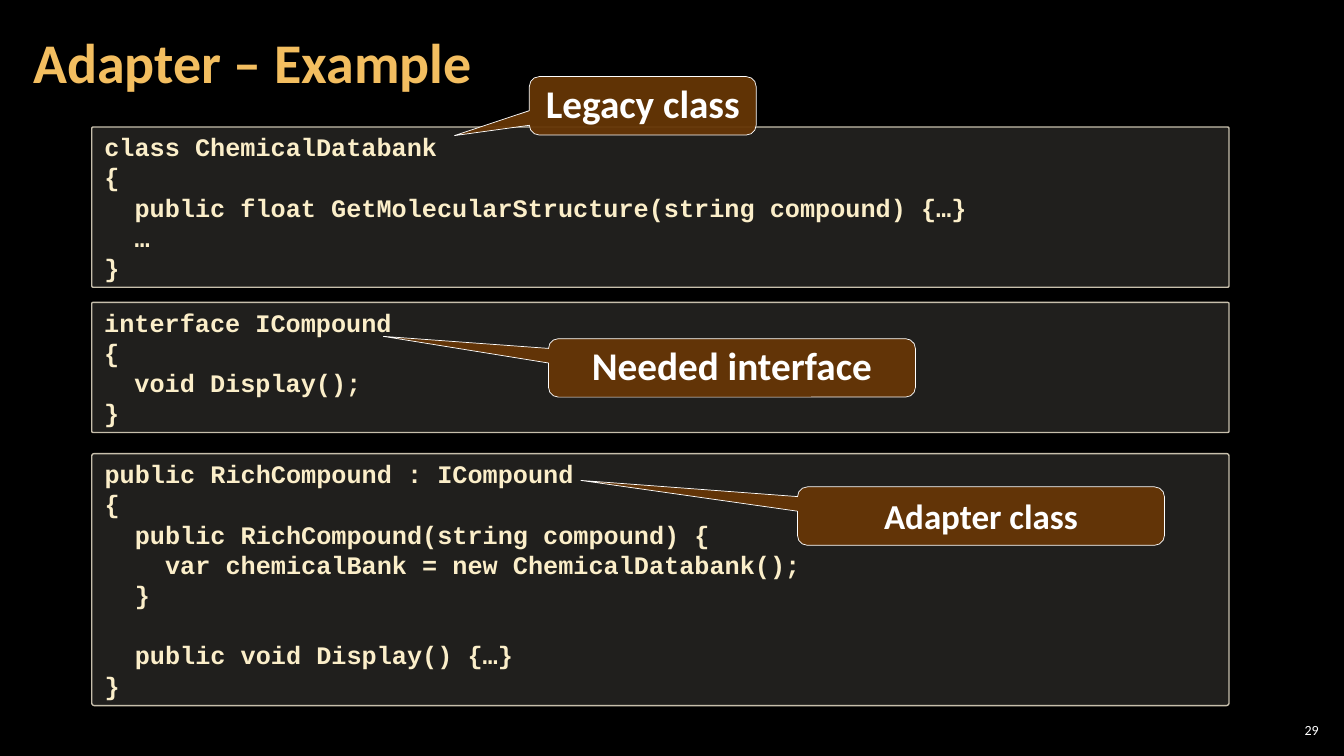
from dataclasses import dataclass
from pptx import Presentation
from pptx.dml.color import RGBColor
from pptx.enum.shapes import MSO_SHAPE as Shape
from pptx.enum.text import MSO_ANCHOR as Anchor, PP_ALIGN as Align
from pptx.oxml.ns import qn
from pptx.util import Inches, Pt
from lxml.etree import SubElement

TITLE = "Adapter – Example"
PAGE_NUMBER = "29"

CODE_PANELS = [
    (1.26, 1.59, [
        (0, "class ChemicalDatabank"),
        (0, "{"),
        (1, "public float GetMolecularStructure(string compound) {…}"),
        (1, "…"),
        (0, "}"),
    ]),
    (3.0, 1.29, [
        (0, "interface ICompound"),
        (0, "{"),
        (1, "void Display();"),
        (0, "}"),
    ]),
    (4.5, 2.5, [
        (0, "public RichCompound : ICompound"),
        (0, "{"),
        (1, "public RichCompound(string compound) {"),
        (2, "var chemicalBank = new ChemicalDatabank();"),
        (1, "}"),
        (0, ""),
        (1, "public void Display() {…}"),
        (0, "}"),
    ]),
]

CALLOUTS = [
    ("Legacy class", 28, (5.25, 0.76, 2.25), (-0.83, 0.51)),
    ("Needed interface", 28, (5.44, 3.36, 3.64), (-0.95, -0.54)),
    ("Adapter class", 25, (7.91, 4.83, 3.64), (-1.09, -0.61)),
]


@dataclass(frozen=True)
class Theme:
    background: str = "000000"
    title: str = "F3BE60"
    code: str = "FBEEC9"
    panel: str = "D9D5C7"
    panel_line: str = "C7BFAC"
    callout: str = "663606"
    white: str = "FFFFFF"
    text_font: str = "Calibri"
    code_font: str = "Courier New"
    title_size: int = 40
    code_size: int = 18
    number_size: int = 10
    code_leading: float = 21.6
    callout_leading: int = 30


THEME = Theme()
PANEL_LEFT, PANEL_WIDTH = 0.91, 11.28
CALLOUT_HEIGHT = 0.58
INDENT = 2 * 0.6 * THEME.code_size
WIDE_INSETS = (0.12, 0.04, 0.12, 0.04)


def set_all(target, values):
    for name, value in values.items():
        setattr(target, name, value)


def prepare_frame(shape, insets, anchor):
    left, top, right, bottom = map(Inches, insets)
    set_all(shape.text_frame, {
        "word_wrap": True, "vertical_anchor": anchor,
        "margin_left": left, "margin_top": top,
        "margin_right": right, "margin_bottom": bottom,
    })
    return shape.text_frame


def write(para, text, size, color, font=THEME.text_font, bold=True, **layout):
    set_all(para, layout)
    span = para.add_run()
    span.text = text
    set_all(span.font, {"name": font, "size": Pt(size), "bold": bold})
    span.font.color.rgb = RGBColor.from_string(color)


def add_label(page, area, insets, *text, **layout):
    box = page.shapes.add_textbox(*map(Inches, area))
    frame = prepare_frame(box, insets, Anchor.MIDDLE)
    write(frame.paragraphs[0], *text, **layout)


def add_box(page, preset, area, adjustments, fill, opacity, line, weight):
    box = page.shapes.add_shape(preset, *map(Inches, area))
    box.shadow.inherit = False
    for index, value in enumerate(adjustments):
        box.adjustments[index] = value
    box.fill.solid()
    box.fill.fore_color.rgb = RGBColor.from_string(fill)
    color = box.fill._xPr.find(qn("a:solidFill"))[0]
    SubElement(color, qn("a:alpha")).set("val", str(opacity * 1000))
    box.line.color.rgb = RGBColor.from_string(line)
    box.line.width = Pt(weight)
    return box


def add_code(page, top, height, lines):
    panel = add_box(page, Shape.ROUNDED_RECTANGLE, (PANEL_LEFT, top, PANEL_WIDTH, height),
                    (0.01,), THEME.panel, 15, THEME.panel_line, 1)
    frame = prepare_frame(panel, WIDE_INSETS, Anchor.TOP)
    leading = Pt(THEME.code_leading)
    gap = 0
    para = frame.paragraphs[0]
    for depth, text in lines:
        if not text:
            gap += leading
            continue
        if para.runs:
            para = frame.add_paragraph()
        write(para, text, THEME.code_size, THEME.code, THEME.code_font,
              alignment=Align.LEFT, line_spacing=leading, space_before=gap)
        para._p.get_or_add_pPr().set("marL", str(Pt(depth * INDENT)))
        gap = 0


def add_callout(page, text, size, area, tip):
    callout = add_box(page, Shape.ROUNDED_RECTANGULAR_CALLOUT, (*area, CALLOUT_HEIGHT),
                      (*tip, 0.17), THEME.callout, 95, THEME.white, 0.5)
    frame = prepare_frame(callout, (0, 0.05, 0, 0.05), Anchor.TOP)
    write(frame.paragraphs[0], text, size, THEME.white,
          alignment=Align.CENTER, line_spacing=Pt(THEME.callout_leading))


def main():
    deck = Presentation()
    set_all(deck, {"slide_width": Inches(13.33), "slide_height": Inches(7.5)})
    page = deck.slides.add_slide(deck.slide_layouts[6])
    page.background.fill.solid()
    page.background.fill.fore_color.rgb = RGBColor.from_string(THEME.background)

    add_label(page, (12.65, 7.14, 0.47, 0.21), (0.04,) * 4, PAGE_NUMBER,
              THEME.number_size, THEME.white, bold=False, alignment=Align.RIGHT)
    add_label(page, (0.21, 0.04, 10.47, 1.21), WIDE_INSETS, TITLE,
              THEME.title_size, THEME.title, line_spacing=0.9)
    for panel in CODE_PANELS:
        add_code(page, *panel)
    for callout in CALLOUTS:
        add_callout(page, *callout)
    deck.save("out.pptx")


if __name__ == "__main__":
    main()
